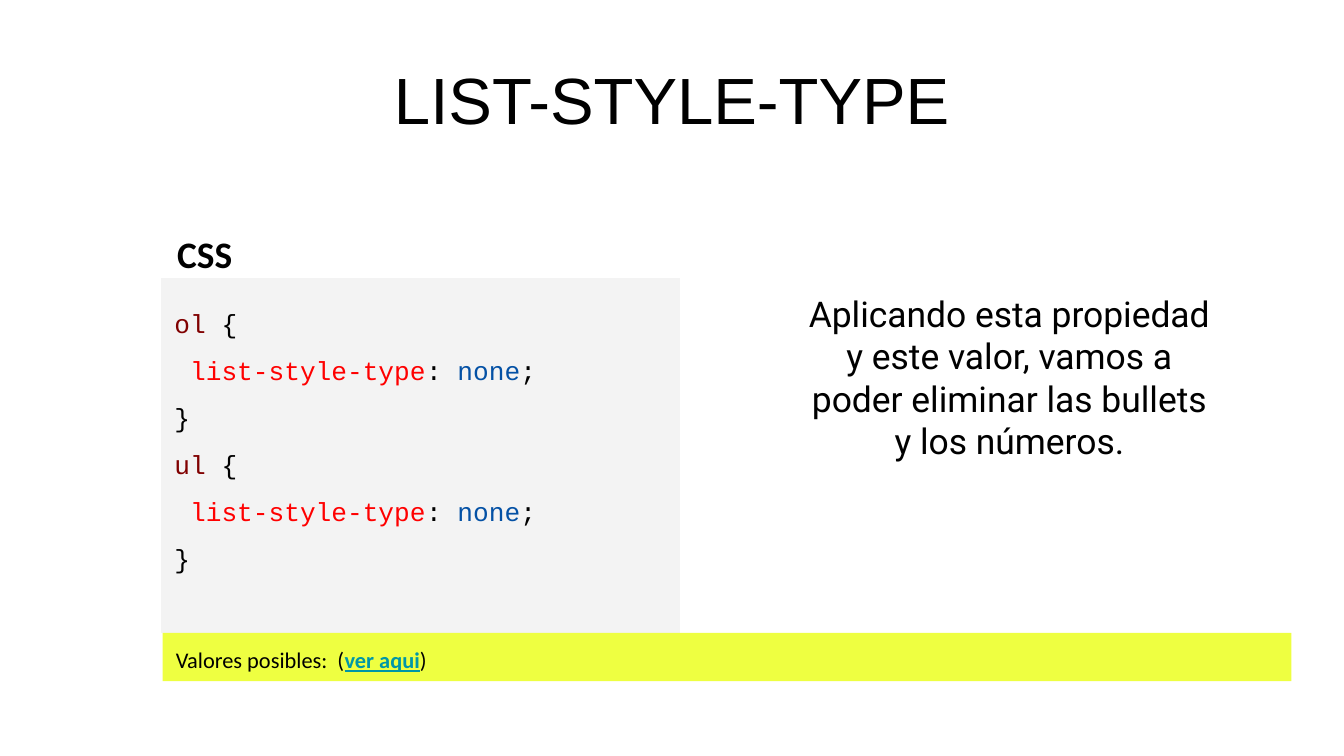
from pptx import Presentation
from pptx.dml.color import RGBColor
from pptx.enum.shapes import MSO_SHAPE
from pptx.enum.text import MSO_ANCHOR, PP_ALIGN
from pptx.util import Inches, Pt

RECT = MSO_SHAPE.RECTANGLE
TOP, MIDDLE = MSO_ANCHOR.TOP, MSO_ANCHOR.MIDDLE
LEFT, CENTER = PP_ALIGN.LEFT, PP_ALIGN.CENTER

THEME = {
    "colors": {
        "text": "000000", "panel": "F3F3F3", "band": "EEFF41", "link": "0097A7",
        "selector": "800000", "property": "FF0000", "value": "0451A5",
    },
    "fonts": {"title": "Arial", "code": "Courier New", "label": "Calibri", "body": "Roboto"},
    "sizes": {"title": 35, "code": 14, "label": 20, "note": 12, "body": 19},
}
COLORS, FONTS, SIZES = THEME["colors"], THEME["fonts"], THEME["sizes"]

# Content: a paragraph is a list of (text, color role) runs
TITLE = "LIST-STYLE-TYPE"
CODE_LABEL = "CSS"
SELECTORS = ["ol", "ul"]
DECLARATION = [(" ", "text"), ("list-style-type", "property"), (": ", "text"),
               ("none", "value"), (";", "text")]
EXPLANATION = ("Aplicando esta propiedad y este valor, vamos a poder "
               "eliminar las bullets y los números.")
VALUES_NOTE = [("Valores posibles:  (", "text"), ("ver aqui", "link"), (")", "text")]

# Layout in inches, on a 16:9 slide
SLIDE_W = 10
SLIDE_H = SLIDE_W * 9 / 16
MARGIN, CONTENT_TOP, BAND_TOP = 1.2, 2.07, 4.71
TITLE_W = 6.82
TITLE_BOX = ((SLIDE_W - TITLE_W) / 2, 0.24, TITLE_W, 0.9)
CODE_BOX = (MARGIN, CONTENT_TOP, 3.86, BAND_TOP - CONTENT_TOP)
LABEL_BOX = (MARGIN + 0.02, 1.62, 1.24, 0.49)
BAND_BOX = (MARGIN + 0.01, BAND_TOP, 8.4, 0.36)
EXPLANATION_BOX = (5.87, CONTENT_TOP, 3.28, 1.48)

deck = Presentation()
deck.slide_width, deck.slide_height = Inches(SLIDE_W), Inches(SLIDE_H)
slide = deck.slides.add_slide(deck.slide_layouts[6])


def rgb(role):
    return RGBColor.from_string(COLORS[role])


def add_text(box, paragraphs, *, font, size, fill=None, bold=False, align=LEFT,
             anchor=TOP, line_spacing=None, before=0, after=0):
    """Place paragraphs of colored runs, on a filled panel if fill is given."""
    place = [Inches(length) for length in box]
    if fill:
        holder = slide.shapes.add_shape(RECT, *place)
        holder.shadow.inherit = False
        holder.fill.solid()
        holder.fill.fore_color.rgb = rgb(fill)
        holder.line.fill.background()
    else:
        holder = slide.shapes.add_textbox(*place)
    frame = holder.text_frame
    frame.word_wrap = True
    frame.vertical_anchor = anchor
    frame.margin_left = frame.margin_right = Inches(0.1)
    frame.margin_top = frame.margin_bottom = Inches(0.1)
    for index, runs in enumerate(paragraphs):
        line = frame.add_paragraph() if index else frame.paragraphs[0]
        line.alignment = align
        line.line_spacing = line_spacing
        line.space_before, line.space_after = Pt(before), Pt(after)
        for text, role in runs:
            run = line.add_run()
            run.text = text
            run.font.name, run.font.size = FONTS[font], Pt(SIZES[size])
            run.font.color.rgb = rgb(role)
            run.font.bold = bold or role == "link"
            run.font.underline = role == "link"


# Title
add_text(TITLE_BOX, [[(TITLE, "text")]], font="title", size="title", align=CENTER,
         anchor=MIDDLE, line_spacing=1.15, before=20, after=6)

# Code panel: one rule per selector
code_lines = []
for selector in SELECTORS:
    code_lines += [[(selector, "selector"), (" {", "text")], DECLARATION, [("}", "text")]]
add_text(CODE_BOX, code_lines, font="code", size="code", fill="panel", line_spacing=1.5)
add_text(LABEL_BOX, [[(CODE_LABEL, "text")]], font="label", size="label", bold=True)

# Note on possible values
add_text(BAND_BOX, [VALUES_NOTE], font="label", size="note", fill="band")

# Explanation
add_text(EXPLANATION_BOX, [[(EXPLANATION, "text")]], font="body", size="body", align=CENTER)

deck.save("out.pptx")
